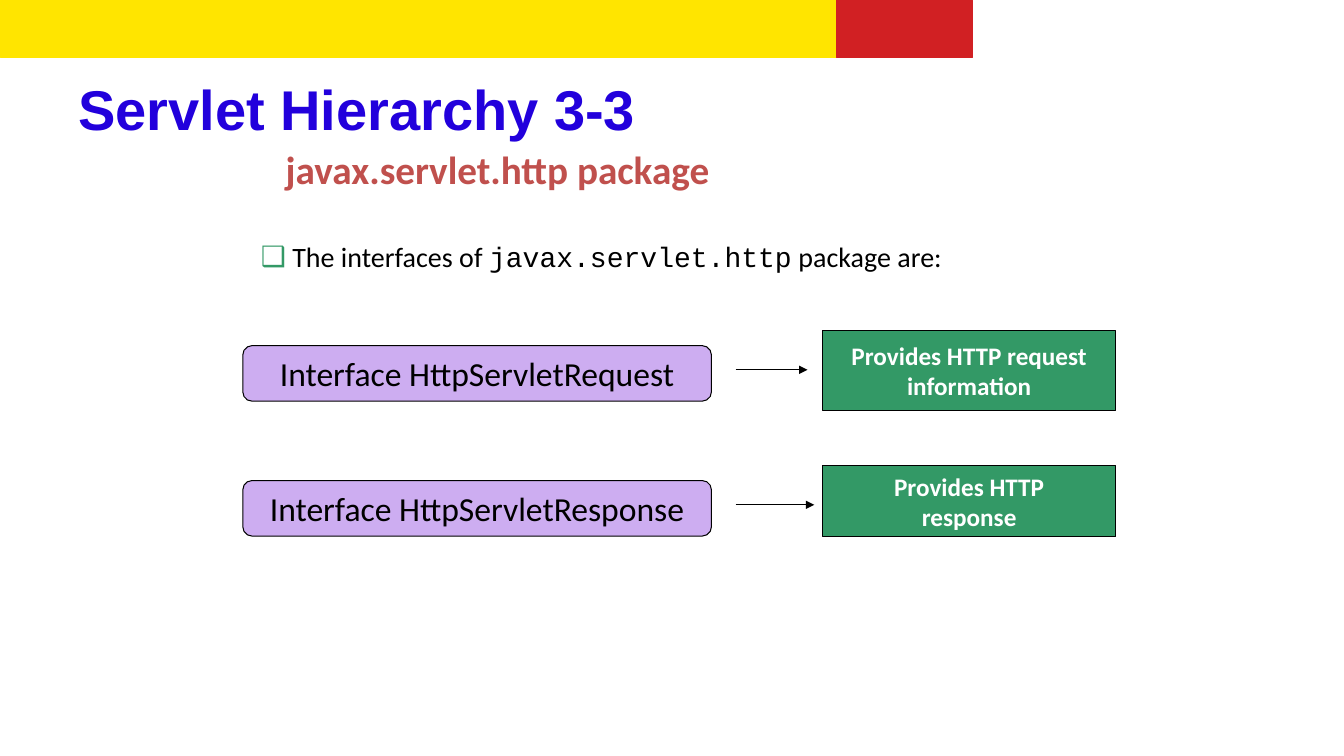
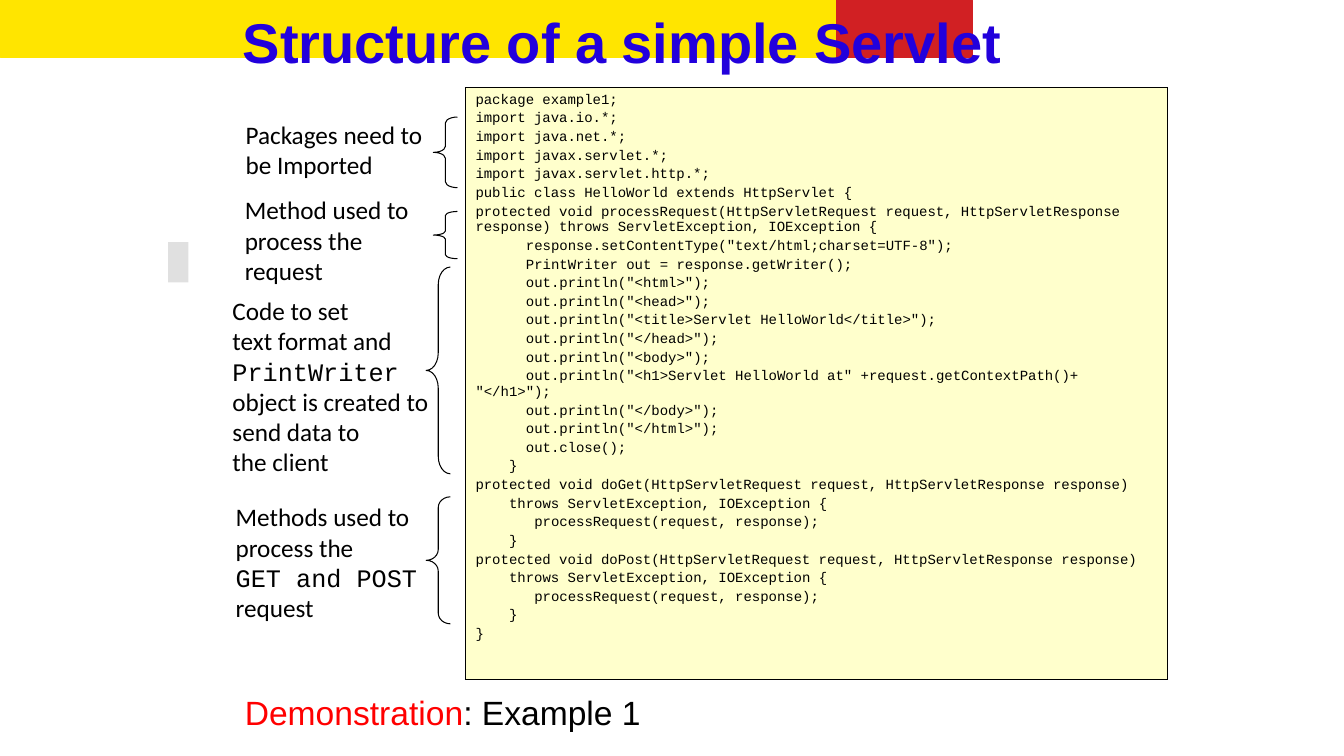
from lxml.etree import SubElement
from pptx import Presentation
from pptx.dml.color import RGBColor
from pptx.enum.shapes import MSO_CONNECTOR, MSO_SHAPE
from pptx.enum.text import MSO_ANCHOR, MSO_AUTO_SIZE, PP_ALIGN
from pptx.oxml.ns import qn
from pptx.util import Cm, Pt

YELLOW, RED, BLUE, GREEN = "FFE500", "D12023", "2200DC", "339966"
BLACK, WHITE, LILAC, CREAM = "000000", "FFFFFF", "CDADF1", "FFFFCC"
BRICK, BRIGHT_RED, GREY = "C0504D", "FF0000", "E0E0E0"
MONO = {"font": "Courier New"}
CODE_SIZE = 10
CODE_CHAR_WIDTH = Pt(CODE_SIZE * 0.6)

SERVLET_CODE = [
    (0, 'package example1;'),
    (0, 'import java.io.*;'),
    (0, 'import java.net.*;'),
    (0, 'import javax.servlet.*;'),
    (0, 'import javax.servlet.http.*;'),
    (0, 'public class HelloWorld extends HttpServlet {'),
    (0, 'protected void processRequest(HttpServletRequest request, '
        'HttpServletResponse response) throws ServletException, IOException {'),
    (6, 'response.setContentType("text/html;charset=UTF-8");'),
    (6, 'PrintWriter out = response.getWriter();'),
    (6, 'out.println("<html>");'),
    (6, 'out.println("<head>");'),
    (6, 'out.println("<title>Servlet HelloWorld</title>");'),
    (6, 'out.println("</head>");'),
    (6, 'out.println("<body>");'),
    (6, 'out.println("<h1>Servlet HelloWorld at" +request.getContextPath()+ "</h1>");'),
    (6, 'out.println("</body>");'),
    (6, 'out.println("</html>");'),
    (6, 'out.close();'),
    (4, '}'),
    (0, 'protected void doGet(HttpServletRequest request, HttpServletResponse response)'),
    (4, 'throws ServletException, IOException {'),
    (7, 'processRequest(request, response);'),
    (4, '}'),
    (0, 'protected void doPost(HttpServletRequest request, HttpServletResponse response)'),
    (4, 'throws ServletException, IOException {'),
    (7, 'processRequest(request, response);'),
    (4, '}'),
    (0, '}'),
]

INTERFACES = [
    ("Interface HttpServletRequest", ["Provides HTTP request", "information"],
     {"top": 8.33, "height": 2.01, "arrow_end": 20.35}),
    ("Interface HttpServletResponse", ["Provides HTTP", "response"],
     {"top": 11.73, "height": 1.8, "arrow_end": 20.52}),
]

CODE_NOTES = [
    (["Packages need to be Imported"], (5.94, 2.87, 5.05, 1.78)),
    (["Method used to", "process the", "request"], (5.92, 4.78, 5, 2.54)),
    (["Code to set", "text format and",
      [("PrintWriter", MONO), " object is created to send data to"],
      "the client"], (5.61, 7.32, 5.59, 4.83)),
    (["Methods used to", "process the", [("GET and POST", MONO)], "request"],
     (5.69, 12.52, 5.26, 3.3)),
]

CODE_BRACES = [
    (10.92, 2.95, 1.78, 0.246),
    (10.92, 5.33, 1.19, 0.167),
    (10.74, 6.73, 5.21, 0.723),
    (10.74, 12.52, 3.2, 0.445),
]


def rgb(colour):
    """Turn a hex string into a colour."""
    return RGBColor.from_string(colour)


def box(left, top, width, height):
    """Give a position and size in centimetres as lengths."""
    return Cm(left), Cm(top), Cm(width), Cm(height)


def write(frame, paragraphs, size=18, font="Calibri", colour=BLACK, bold=False,
          align=PP_ALIGN.LEFT, anchor=MSO_ANCHOR.TOP, wrap=True, inset=None,
          before=0):
    """Fill a text frame; a paragraph is a string or a list of runs."""
    frame.auto_size = MSO_AUTO_SIZE.NONE
    frame.word_wrap = wrap
    frame.vertical_anchor = anchor
    if inset is not None:
        frame.margin_left = frame.margin_right = Cm(inset)
        frame.margin_top = frame.margin_bottom = Cm(inset)
    for index, content in enumerate(paragraphs):
        paragraph = frame.add_paragraph() if index else frame.paragraphs[0]
        paragraph.alignment = align
        paragraph.space_before = Pt(before)
        for part in [content] if isinstance(content, str) else content:
            text, changes = (part, {}) if isinstance(part, str) else part
            run = paragraph.add_run()
            run.text = text
            run.font.size = Pt(size)
            run.font.bold = bold
            run.font.name = changes.get("font", font)
            run.font.color.rgb = rgb(changes.get("colour", colour))


def add_text(slide, paragraphs, place, **text_format):
    """Add a text box."""
    write(slide.shapes.add_textbox(*box(*place)).text_frame, paragraphs, **text_format)


def add_shape(slide, kind, place, fill=None, line=None, weight=0.75):
    """Add a flat preset shape."""
    shape = slide.shapes.add_shape(kind, *box(*place))
    shape.shadow.inherit = False
    if fill:
        shape.fill.solid()
        shape.fill.fore_color.rgb = rgb(fill)
    else:
        shape.fill.background()
    if line:
        shape.line.color.rgb = rgb(line)
        shape.line.width = Pt(weight)
    else:
        shape.line.fill.background()
    return shape


def add_label_box(slide, kind, paragraphs, place, fill, **text_format):
    """Add an outlined shape with centred text."""
    shape = add_shape(slide, kind, place, fill, BLACK)
    write(shape.text_frame, paragraphs, align=PP_ALIGN.CENTER,
          anchor=MSO_ANCHOR.MIDDLE, wrap=False, **text_format)


def add_arrow(slide, start, end, y):
    """Add a horizontal arrow."""
    arrow = slide.shapes.add_connector(
        MSO_CONNECTOR.STRAIGHT, Cm(start), Cm(y), Cm(end), Cm(y))
    arrow.line.color.rgb = rgb(BLACK)
    arrow.line.width = Pt(0.75)
    properties = arrow.element.spPr
    SubElement(properties.find(qn("a:ln")), qn("a:tailEnd"), type="triangle")
    SubElement(properties, qn("a:effectLst"))


def add_brace(slide, left, top, height, curl):
    """Add a left brace that spans some code lines."""
    brace = add_shape(slide, MSO_SHAPE.LEFT_BRACE, (left, top, 0.61, height), line=BLACK)
    brace.adjustments[0] = curl


def move_to(placeholder, place):
    """Set a placeholder's position and size."""
    placeholder.left, placeholder.top, placeholder.width, placeholder.height = box(*place)


def add_title(slide, title, place):
    """Place and format the slide title."""
    move_to(slide.shapes.title, place)
    write(slide.shapes.title.text_frame, [title], size=40, font="Arial",
          colour=BLUE, bold=True, inset=0)


def add_bullets(slide, paragraphs, place, bullet, bullet_colour, **text_format):
    """Turn the body placeholder into a list."""
    body = slide.placeholders[1]
    move_to(body, place)
    write(body.text_frame, paragraphs, **text_format)
    for paragraph in body.element.iter(qn("a:p")):
        properties = paragraph.get_or_add_pPr()
        properties.set("marL", "0")
        properties.set("indent", "0")
        colour = SubElement(properties, qn("a:buClr"))
        SubElement(colour, qn("a:srgbClr"), val=bullet_colour)
        SubElement(properties, qn("a:buChar"), char=bullet)


def add_code(slide, code, place):
    """Add a one-cell table with indented code lines."""
    listing = slide.shapes.add_table(1, 1, *box(*place))
    listing.table.first_row = listing.table.horz_banding = False
    cell = listing.table.cell(0, 0)
    write(cell.text_frame, [line for _, line in code],
          size=CODE_SIZE, before=2, **MONO)
    for (depth, _), paragraph in zip(code, listing.element.iter(qn("a:p"))):
        paragraph.get_or_add_pPr().set("indent", str(depth * CODE_CHAR_WIDTH))
    properties = next(listing.element.iter(qn("a:tc"))).get_or_add_tcPr()
    for side in ("a:lnL", "a:lnR", "a:lnT", "a:lnB"):
        border = SubElement(properties, qn(side), w=str(int(Pt(1))))
        SubElement(SubElement(border, qn("a:solidFill")), qn("a:srgbClr"), val=BLACK)
    cell.fill.solid()
    cell.fill.fore_color.rgb = rgb(CREAM)


def add_master_bands(deck, slide):
    """Put the two top bands on the slide master, behind everything."""
    for index, (left, width, colour) in enumerate([(0, 21.08, YELLOW), (21.08, 3.43, RED)]):
        band = add_shape(slide, MSO_SHAPE.RECTANGLE, (left, 0, width, 1.45),
                         colour, colour, 0.25).element
        band.nvSpPr.cNvPr.id = 100 + index
        deck.slide_master.shapes.element.insert(2 + index, band)


def build_hierarchy(slide):
    """Build the slide on the HTTP package interfaces."""
    add_title(slide, "Servlet Hierarchy 3-3", (1.98, 1.88, 29.9, 1.7))
    add_text(slide, ["javax.servlet.http package"], (6.95, 3.53, 14.4, 1.45),
             size=28, colour=BRICK, bold=True)
    add_bullets(slide, [[" The interfaces of ", ("javax.servlet.http", MONO), " package are:"]],
                (6.32, 5.92, 18.5, 1.12), "❑", GREEN, size=20)
    for interface, purpose, layout in INTERFACES:
        top = layout["top"]
        add_label_box(slide, MSO_SHAPE.FLOWCHART_ALTERNATE_PROCESS, [interface],
                      (6.12, top + 0.38, 11.81, 1.4), LILAC, size=24)
        add_arrow(slide, 18.54, layout["arrow_end"], top + 0.99)
        add_label_box(slide, MSO_SHAPE.RECTANGLE, purpose,
                      (20.73, top, 7.39, layout["height"]), GREEN,
                      colour=WHITE, bold=True)


def build_structure(slide):
    """Build the slide with the annotated servlet code."""
    add_title(slide, "Structure of a simple Servlet", (6.12, 0.2, 22.86, 1.7))
    add_shape(slide, MSO_SHAPE.RECTANGLE, (4.24, 6.1, 0.51, 1.02), GREY)
    add_code(slide, SERVLET_CODE, (11.73, 2.21, 17.7, 14.91))
    for note, place in CODE_NOTES:
        add_text(slide, note, place)
    for brace in CODE_BRACES:
        add_brace(slide, *brace)
    add_text(slide, [[("Demonstration", {"colour": BRIGHT_RED}), ": Example 1"]],
             (5.92, 17.32, 22.86, 1.12), size=24, font="Arial")


def main():
    """Build and save the deck."""
    deck = Presentation()
    deck.slide_width, deck.slide_height = Cm(33.87), Cm(19.05)
    hierarchy = deck.slides.add_slide(deck.slide_layouts.get_by_name("Title and Content"))
    structure = deck.slides.add_slide(deck.slide_layouts.get_by_name("Title Only"))
    add_master_bands(deck, hierarchy)
    build_hierarchy(hierarchy)
    build_structure(structure)
    deck.save("out.pptx")


if __name__ == "__main__":
    main()
